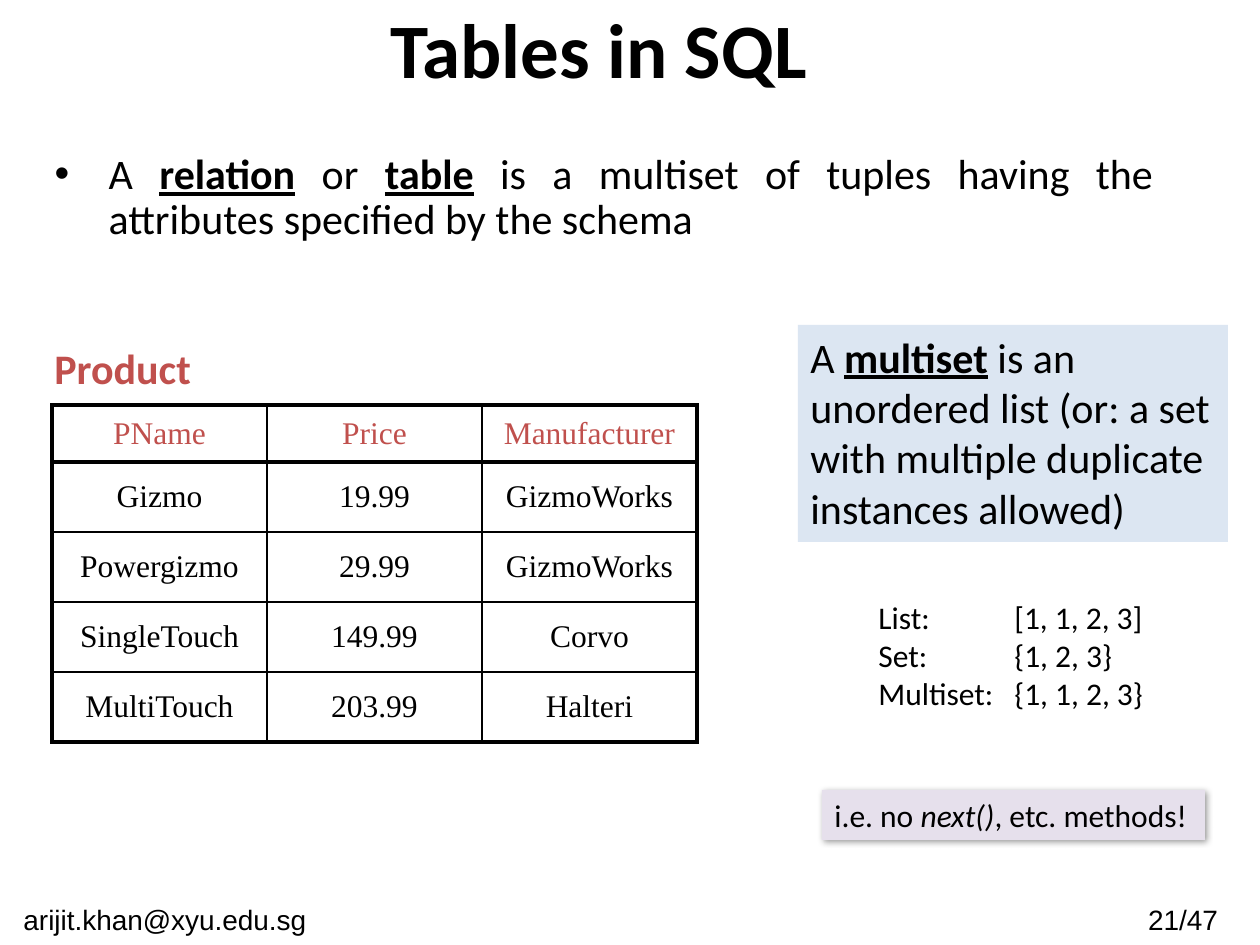
from dataclasses import dataclass

from lxml import etree
from pptx import Presentation
from pptx import util as u
from pptx.dml.color import RGBColor
from pptx.enum import shapes, text
from pptx.oxml.ns import qn

PX = u.Inches(1) / 126


@dataclass(frozen=True)
class Theme:
    ink: str = "000000"
    accent: str = "C0504D"
    definition_fill: str = "DCE6F2"
    remark_fill: str = "E6E0EC"
    heading_font: str = "Calibri"
    table_font: str = "Times New Roman"
    footer_font: str = "Arial"
    title_size: int = 44
    body_size: int = 24
    small_size: int = 18
    footer_size: int = 16
    thick: float = 2.25
    thin: float = 1


THEME = Theme()
PRODUCTS = [
    ("PName", "Price", "Manufacturer"),
    ("Gizmo", "19.99", "GizmoWorks"),
    ("Powergizmo", "29.99", "GizmoWorks"),
    ("SingleTouch", "149.99", "Corvo"),
    ("MultiTouch", "203.99", "Halteri"),
]


def px(length):
    return u.Emu(round(length * PX))


def place(shape, x, y, width, height):
    shape.left, shape.top = px(x), px(y)
    shape.width, shape.height = px(width), px(height)


def child(parent, tag, **attributes):
    return etree.SubElement(parent, qn(tag), {k: str(v) for k, v in attributes.items()})


def style(paragraph, size, font=THEME.heading_font, color=THEME.ink, bold=None, align=None):
    paragraph.font.size = u.Pt(size)
    paragraph.font.name = font
    paragraph.font.color.rgb = RGBColor.from_string(color)
    paragraph.font.bold = bold
    paragraph.alignment = align


def write(paragraph, parts):
    """Add runs; a part is plain text or a (text, emphasis) pair."""
    for part in parts:
        words, emphasis = (part, "") if isinstance(part, str) else part
        run = paragraph.add_run()
        run.text = words
        if emphasis == "term":
            run.font.bold = run.font.underline = True
        elif emphasis == "italic":
            run.font.italic = True


def add_label(slide, box, words, size, wrap=True, **look):
    label = slide.shapes.add_textbox(0, 0, 0, 0)
    place(label, *box)
    label.text_frame.word_wrap = wrap
    label.text_frame.text = words
    for paragraph in label.text_frame.paragraphs:
        style(paragraph, size, **look)
    return label


def add_panel(slide, box, fill, parts, size, wrap=True):
    panel = slide.shapes.add_shape(shapes.MSO_SHAPE.RECTANGLE, 0, 0, 0, 0)
    place(panel, *box)
    panel.shadow.inherit = False
    panel.fill.solid()
    panel.fill.fore_color.rgb = RGBColor.from_string(fill)
    panel.line.fill.background()
    frame = panel.text_frame
    frame.word_wrap = wrap
    frame.vertical_anchor = text.MSO_ANCHOR.TOP
    write(frame.paragraphs[0], parts)
    style(frame.paragraphs[0], size, align=text.PP_ALIGN.LEFT)
    return panel


def cast_shadow(shape):
    effects = shape._element.spPr.find(qn("a:effectLst"))
    shadow = child(effects, "a:outerShdw", blurRad=u.Pt(4), dist=u.Pt(1),
                   dir=45 * 60000, algn="tl", rotWithShape=0)
    child(child(shadow, "a:srgbClr", val=THEME.ink), "a:alpha", val=40000)


def set_borders(cell, **widths):
    properties = cell._tc.get_or_add_tcPr()
    for side in "LRTB":
        line = child(properties, f"a:ln{side}", w=u.Pt(widths[side]))
        child(child(line, "a:solidFill"), "a:srgbClr", val=THEME.ink)


def add_product_table(slide, x, y, column_width, header_height, row_height):
    rows, columns = len(PRODUCTS), len(PRODUCTS[0])
    height = header_height + (rows - 1) * row_height
    table = slide.shapes.add_table(
        rows, columns, px(x), px(y), px(columns * column_width), px(height)).table
    table.first_row = table.horz_banding = False
    for r, record in enumerate(PRODUCTS):
        table.rows[r].height = px(row_height if r else header_height)
        for c, value in enumerate(record):
            cell = table.cell(r, c)
            cell.text = value
            cell.vertical_anchor = text.MSO_ANCHOR.MIDDLE
            style(cell.text_frame.paragraphs[0], THEME.small_size, THEME.table_font,
                  THEME.ink if r else THEME.accent, align=text.PP_ALIGN.CENTER)
            set_borders(
                cell,
                L=THEME.thin if c else THEME.thick,
                R=THEME.thick if c == columns - 1 else THEME.thin,
                T=THEME.thick if r < 2 else THEME.thin,
                B=THEME.thick if r in (0, rows - 1) else THEME.thin,
            )
            cell.fill.background()


def fill_title(slide):
    title = slide.shapes.title
    place(title, 32, 0, 1134, 95)
    title.text_frame.text = "Tables in SQL"
    title.text_frame.vertical_anchor = text.MSO_ANCHOR.MIDDLE
    style(title.text_frame.paragraphs[0], THEME.title_size, bold=True,
          align=text.PP_ALIGN.CENTER)


def fill_body(slide):
    body = slide.placeholders[1]
    place(body, 42, 147, 1124, 168)
    body.text_frame.auto_size = text.MSO_AUTO_SIZE.NONE
    statement = body.text_frame.paragraphs[0]
    write(statement, ["A ", ("relation", "term"), " or ", ("table", "term"),
                      " is a multiset of tuples having the attributes specified by the schema"])
    style(statement, THEME.body_size, align=text.PP_ALIGN.JUSTIFY)
    statement.line_spacing = 0.9
    properties = statement._p.get_or_add_pPr()
    properties.set("marL", str(px(54)))
    properties.set("indent", str(px(-54)))


def add_examples(slide):
    examples = add_label(
        slide, (866, 592, 295, 127),
        "List:\t[1, 1, 2, 3]\nSet:\t{1, 2, 3}\nMultiset:\t{1, 1, 2, 3}", THEME.small_size)
    for paragraph in examples.text_frame.paragraphs:
        stops = etree.Element(qn("a:tabLst"))
        child(stops, "a:tab", pos=px(136), algn="l")
        paragraph._p.get_or_add_pPr().insert(0, stops)


def add_footer(slide, box, words):
    add_label(slide, box, words, THEME.footer_size, font=THEME.footer_font,
              align=text.PP_ALIGN.CENTER)


def main():
    deck = Presentation()
    deck.slide_width, deck.slide_height = u.Inches(10), u.Inches(7.5)
    slide = deck.slides.add_slide(deck.slide_layouts[1])
    fill_title(slide)
    fill_body(slide)
    add_footer(slide, (1110, 896, 146, 49), "21/47")
    add_footer(slide, (0, 896, 330, 49), "arijit.khan@xyu.edu.sg")
    add_product_table(slide, 52, 405, 215, 57, 70)
    add_label(slide, (42, 336, 164, 63), "Product", THEME.body_size, wrap=False,
              color=THEME.accent, bold=True)
    add_panel(slide, (798, 325, 430, 217), THEME.definition_fill,
              ["A ", ("multiset", "term"),
               " is an unordered list (or: a set with multiple duplicate instances allowed)"],
              THEME.body_size)
    add_examples(slide)
    remark = add_panel(slide, (822, 790, 383, 50), THEME.remark_fill,
                       ["i.e. no ", ("next()", "italic"), ", etc. methods!"],
                       THEME.small_size, wrap=False)
    cast_shadow(remark)
    deck.save("out.pptx")


if __name__ == "__main__":
    main()
